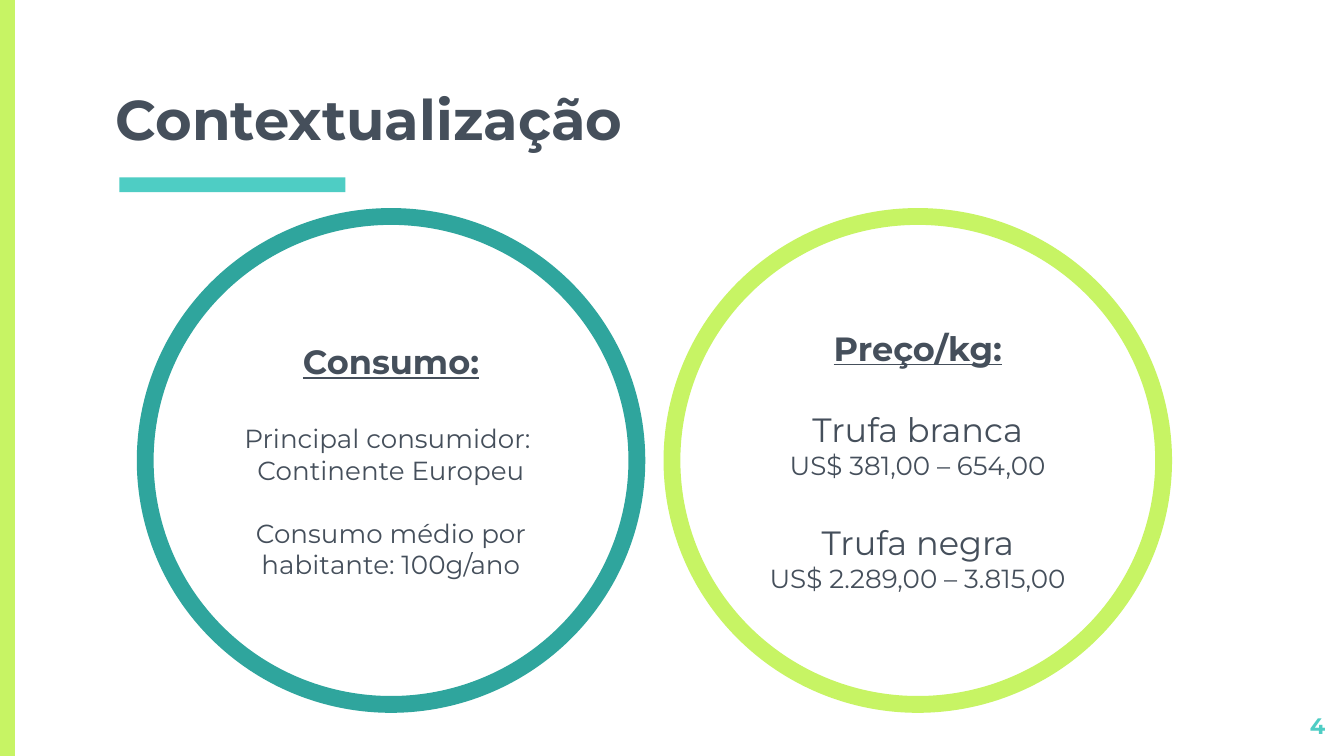
"""Build the "Contextualização" slide with two ringed fact panels."""
from dataclasses import dataclass

from pptx import Presentation
from pptx.dml.color import RGBColor
from pptx.enum.shapes import MSO_SHAPE as Preset
from pptx.enum.text import MSO_ANCHOR as Anchor, MSO_AUTO_SIZE as AutoSize, PP_ALIGN as Align
from pptx.slide import Slide
from pptx.util import Pt

INK, LIME, AQUA, TEAL = "454F5B", "C7F464", "4ECDC4", "2FA59D"


def color(hex_code):
    return RGBColor.from_string(hex_code)


@dataclass
class SlideBuilder:
    slide: Slide
    font: str = "Montserrat"
    inset: float = 7.2

    def frame(self, holder, anchor):
        body = holder.text_frame
        body.word_wrap = True
        body.auto_size = AutoSize.NONE
        body.vertical_anchor = anchor
        body.margin_left = body.margin_right = Pt(self.inset)
        body.margin_top = body.margin_bottom = Pt(self.inset)
        return body

    def add_text(self, paragraph, text, size, ink=INK, bold=False, underline=False, align=Align.CENTER):
        paragraph.alignment = align
        run = paragraph.add_run()
        run.text = text
        run.font.name = self.font
        run.font.size = Pt(size)
        run.font.bold = bold
        run.font.underline = underline
        run.font.color.rgb = color(ink)

    def title(self, text, left, top, width, height):
        heading = self.slide.shapes.title
        heading.left, heading.top = Pt(left), Pt(top)
        heading.width, heading.height = Pt(width), Pt(height)
        body = self.frame(heading, Anchor.BOTTOM)
        self.add_text(body.paragraphs[0], text, 30, bold=True, align=Align.LEFT)

    def bar(self, left, top, width, height, fill):
        bar = self.slide.shapes.add_shape(Preset.RECTANGLE, Pt(left), Pt(top), Pt(width), Pt(height))
        bar.shadow.inherit = False
        bar.fill.solid()
        bar.fill.fore_color.rgb = color(fill)
        bar.line.fill.background()

    def ring(self, left, top, width, height, outline, heading, facts):
        ring = self.slide.shapes.add_shape(Preset.OVAL, Pt(left), Pt(top), Pt(width), Pt(height))
        ring.shadow.inherit = False
        ring.fill.background()
        ring.line.color.rgb = color(outline)
        ring.line.width = Pt(9)
        body = self.frame(ring, Anchor.MIDDLE)
        self.add_text(body.paragraphs[0], heading, 18, bold=True, underline=True)
        for text, size, gap in facts:
            fact = body.add_paragraph()
            fact.space_before = Pt(gap)
            self.add_text(fact, text, size)

    def page_number(self, text, left, top, width, height):
        box = self.slide.shapes.add_textbox(Pt(left), Pt(top), Pt(width), Pt(height))
        body = self.frame(box, Anchor.TOP)
        self.add_text(body.paragraphs[0], text, 12, AQUA, bold=True, align=Align.RIGHT)


def main():
    deck = Presentation()
    deck.slide_width, deck.slide_height = Pt(720), Pt(405)
    page = SlideBuilder(deck.slides.add_slide(deck.slide_layouts[5]))

    page.bar(0, 0, 8, 405, LIME)
    page.bar(64, 95, 121, 8, AQUA)
    page.title("Contextualização", 54.7, 49.7, 611.3, 38.9)

    prices = [
        ("Trufa branca", 18, 22),
        ("US$ 381,00 – 654,00", 14, 0),
        ("Trufa negra", 18, 22),
        ("US$ 2.289,00 – 3.815,00", 14, 0),
    ]
    consumption = [
        ("Principal consumidor: ", 14, 22),
        ("Continente Europeu", 14, 0),
        ("Consumo médio por habitante: 100g/ano", 14, 17),
    ]
    panels = [
        (360, LIME, "Preço/kg:", prices),
        (77.8, TEAL, "Consumo:", consumption),
    ]
    for left, outline, heading, facts in panels:
        page.ring(left, 116, 263.4, 261.4, outline, heading, facts)

    page.page_number("4", 673.9, 374.4, 43.2, 24.5)
    deck.save("out.pptx")


if __name__ == "__main__":
    main()
